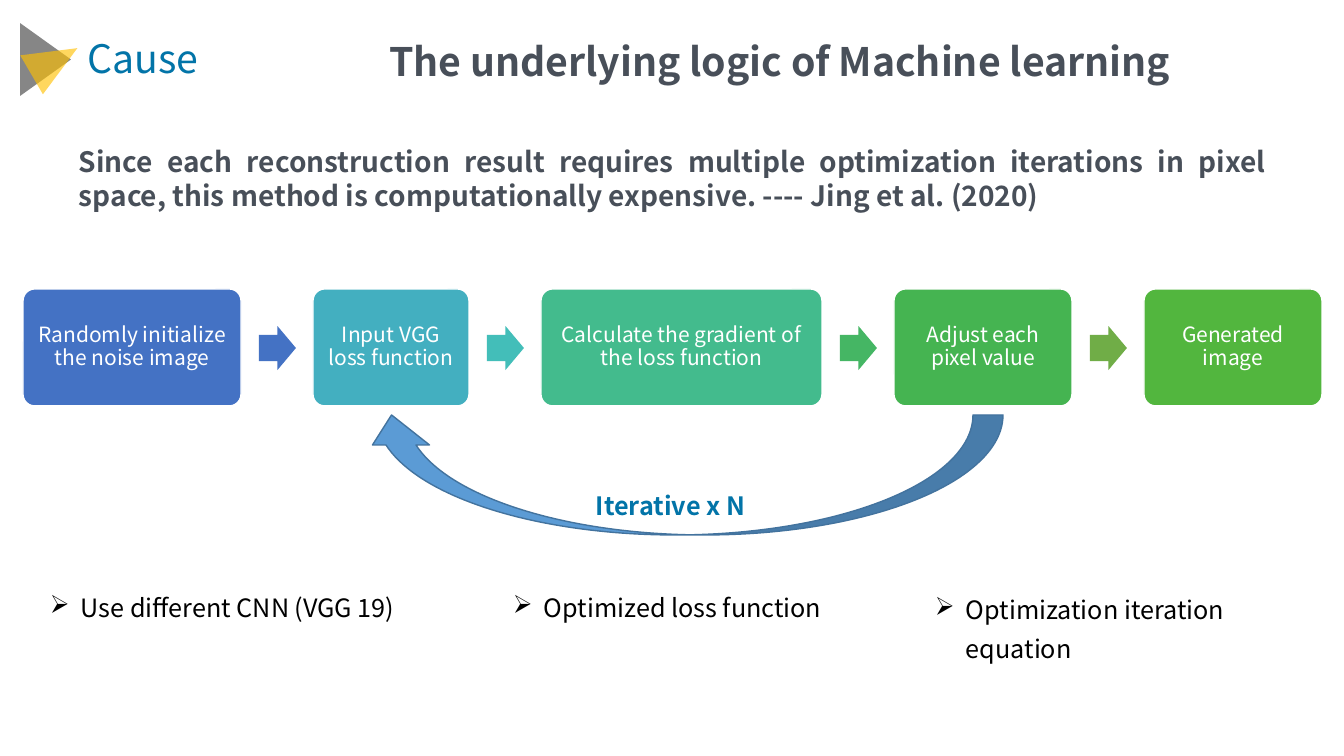
from dataclasses import dataclass
from lxml.etree import SubElement
from pptx import Presentation
from pptx.dml.color import RGBColor
from pptx.enum.shapes import MSO_SHAPE
from pptx.enum.text import MSO_ANCHOR, MSO_AUTO_SIZE, PP_ALIGN
from pptx.oxml.ns import qn
from pptx.util import Emu, Pt

TITLE = "The underlying logic of Machine learning"
LABEL = "Cause"
QUOTE = ("Since each reconstruction result requires multiple optimization iterations "
         "in pixel space, this method is computationally expensive. ---- Jing et al. (2020)")
LOOP = "Iterative x N"
STEPS = [
    ("Randomly initialize the noise image", 218, "4472C4", "4472C4"),
    ("Input VGG loss function", 156, "43AFC0", "43BEB9"),
    ("Calculate the gradient of the loss function", 281, "43BB8D", "45B664"),
    ("Adjust each pixel value", 178, "45B451", "70AD47"),
    ("Generated image", 178, "52B63E", None),
]
NOTES = [
    ("Use different CNN (VGG 19)", (40, 578, 419, 82)),
    ("Optimized loss function", (503, 578, 419, 46)),
    ("Optimization iteration equation", (925, 580, 419, 86)),
]
MARKS = [
    ((9, 34, 73, 51), 90, "404040"),
    ((32, 35, 45, 53), 59.8, "FFC000"),
]


@dataclass
class Theme:
    font: str = "Noto Sans CJK SC"
    dark: str = "484F59"
    blue: str = "0274A8"
    black: str = "000000"
    white: str = "FFFFFF"
    sweep: str = "5B9BD5"
    edge: str = "43739E"
    head: int = 28
    quote: int = 20
    body: int = 18
    step: int = 15


theme = Theme()
SCALE = 914400 / 100.8


def px(n):
    return Emu(round(n * SCALE))


def rgb(tone):
    return RGBColor.from_string(tone)


def write(para, text, size, tone, bold=False):
    run = para.add_run()
    run.text = text
    font = run.font
    font.name, font.size, font.bold = theme.font, Pt(size), bold
    font.color.rgb = rgb(tone)


def label(box, text, size, tone, bold=False):
    item = slide.shapes.add_textbox(*map(px, box))
    frame = item.text_frame
    frame.word_wrap = True
    frame.auto_size = MSO_AUTO_SIZE.SHAPE_TO_FIT_TEXT
    para = frame.paragraphs[0]
    write(para, text, size, tone, bold)
    return para


def draw(kind, box, fill, line=None, adjust=()):
    item = slide.shapes.add_shape(kind, *map(px, box))
    item.shadow.inherit = False
    item.fill.solid()
    item.fill.fore_color.rgb = rgb(fill)
    if line:
        item.line.color.rgb = rgb(line)
        item.line.width = Pt(1)
    else:
        item.line.fill.background()
    for i, value in enumerate(adjust):
        item.adjustments[i] = value
    return item


def bullet(para):
    props = para._p.get_or_add_pPr()
    props.set("marL", str(px(31)))
    props.set("indent", str(px(-31)))
    SubElement(props, qn("a:buChar"), char="➢")


deck = Presentation()
deck.slide_width, deck.slide_height = px(1344), px(756)
slide = deck.slides.add_slide(deck.slide_layouts[5])

for box, turn, tone in MARKS:
    mark = draw(MSO_SHAPE.ISOSCELES_TRIANGLE, box, tone)
    mark.rotation = turn
    color = mark._element.spPr.find(qn("a:solidFill")).find(qn("a:srgbClr"))
    SubElement(color, qn("a:alpha"), val="63000")

title = slide.shapes.title
title.left, title.top, title.width, title.height = map(px, (379, 32, 848, 57))
frame = title.text_frame
frame.word_wrap = True
frame.auto_size = MSO_AUTO_SIZE.SHAPE_TO_FIT_TEXT
frame.vertical_anchor = MSO_ANCHOR.TOP
frame.paragraphs[0].alignment = PP_ALIGN.LEFT
write(frame.paragraphs[0], TITLE, theme.head, theme.dark, True)

label((78, 29, 360, 57), LABEL, theme.head, theme.blue)
quote = label((69, 140, 1207, 78), QUOTE, theme.quote, theme.dark, True)
quote.alignment = PP_ALIGN.JUSTIFY

left, top, tall, gap, pad = 23, 289, 117, 72, 10
for text, wide, fill, tone in STEPS:
    card = draw(MSO_SHAPE.ROUNDED_RECTANGLE, (left, top, wide, tall), fill, theme.white, [0.1])
    frame = card.text_frame
    frame.word_wrap = True
    frame.vertical_anchor = MSO_ANCHOR.MIDDLE
    frame.margin_left = frame.margin_right = px(pad)
    frame.margin_top = frame.margin_bottom = px(pad)
    para = frame.paragraphs[0]
    para.alignment = PP_ALIGN.CENTER
    para.line_spacing = 0.9
    write(para, text, theme.step, theme.white)
    left += wide
    if tone:
        draw(MSO_SHAPE.RIGHT_ARROW, (left + 18, top + 37, 37, 44), tone, None, [0.6, 0.5])
    left += gap

sweep = draw(MSO_SHAPE.CURVED_LEFT_ARROW, (623, 155, 120, 640), theme.sweep,
             theme.edge, [0.25, 0.475, 0.25])
sweep.rotation = 90
label((586, 476, 227, 46), LOOP, theme.body, theme.blue, True).line_spacing = 1.3

for text, box in NOTES:
    para = label(box, text, theme.body, theme.black)
    bullet(para)
    para.line_spacing = 1.3

deck.save("out.pptx")
